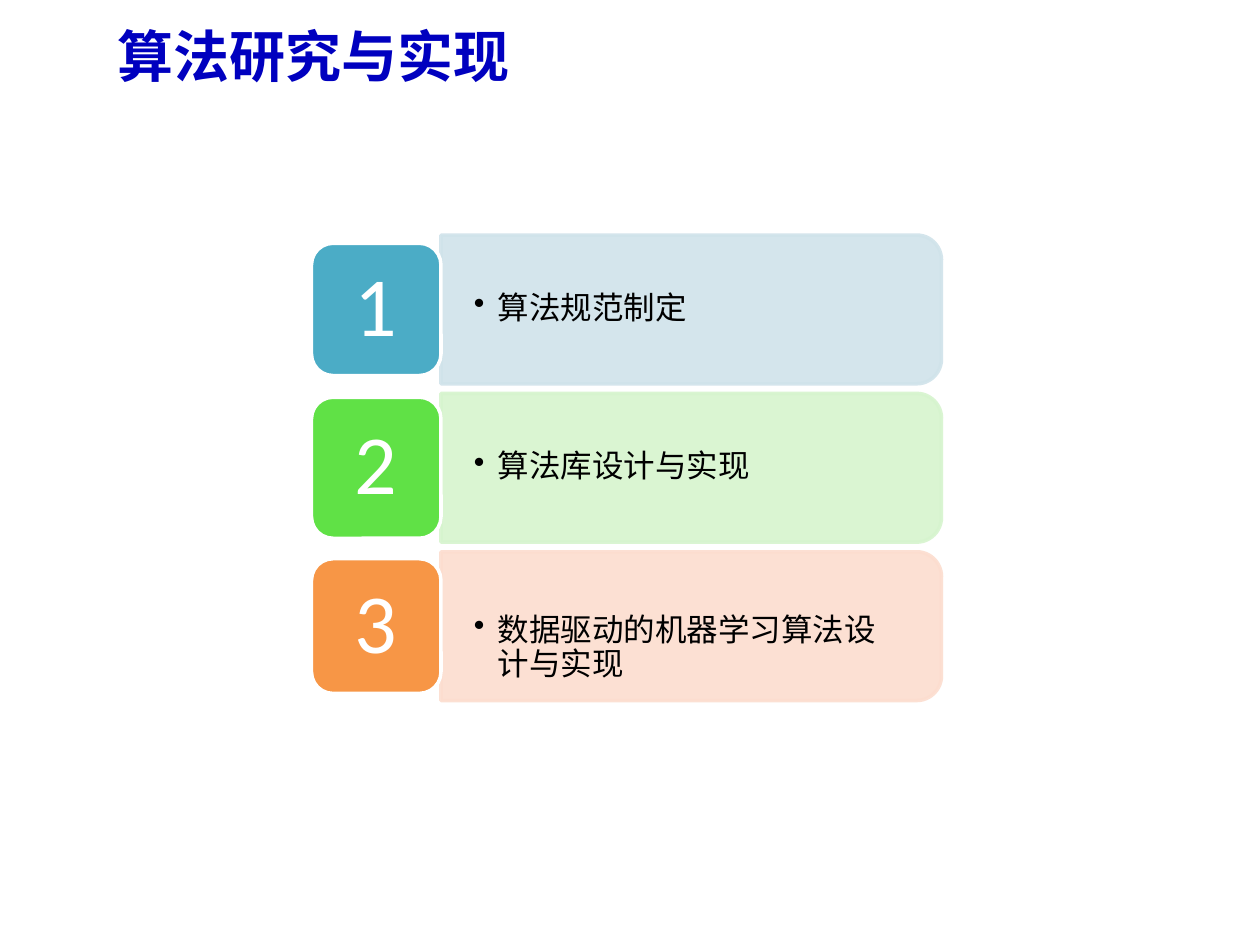
from lxml.etree import SubElement
from pptx import Presentation
from pptx.dml.color import RGBColor
from pptx.enum.shapes import MSO_SHAPE
from pptx.enum.text import MSO_ANCHOR, PP_ALIGN
from pptx.oxml.ns import qn
from pptx.util import Pt

# Content: label, tile colour, panel colour, tile height, downward text shift
TITLE = "算法研究与实现"
ROWS = [
    ("算法规范制定", "4BACC6", "D0E3EA", 75.6, 0),
    ("算法库设计与实现", "60E146", "D6F4CE", 80.6, 0),
    ("数据驱动的机器学习算法设计与实现", "F79646", "FCDDCF", 77, 12.5),
]

THEME = {
    "title": "0000BF", "text": "000000", "light": "FFFFFF",
    "title_size": 32, "body_size": 18, "number_size": 48,
    "latin": "Calibri", "chinese": "Noto Sans CJK SC",
}

# Geometry in points
FIRST_CENTRE, ROW_PITCH = 176.8, 90.5
TILE_LEFT, TILE_WIDTH = 178, 74
PANEL_LEFT, PANEL_WIDTH, PANEL_HEIGHT = 252, 286, 85
LABEL_LEFT, LABEL_WIDTH, LABEL_HEIGHT = 251.3, 282.2, 77
BULLET_INDENT, LINE_WIDTH = 13.5, 2


def write_text(shape, text, *, size, color, font, bold=False, bullet=False,
               align=PP_ALIGN.LEFT, spacing=0.9, insets=(0, 0)):
    frame = shape.text_frame
    frame.word_wrap = True
    frame.vertical_anchor = MSO_ANCHOR.MIDDLE
    frame.margin_left = frame.margin_right = Pt(insets[0])
    frame.margin_top = frame.margin_bottom = Pt(insets[1])
    paragraph = frame.paragraphs[0]
    paragraph.alignment = align
    paragraph.line_spacing = spacing
    if bullet:
        properties = paragraph._p.get_or_add_pPr()
        properties.set("marL", str(Pt(BULLET_INDENT)))
        properties.set("indent", str(-Pt(BULLET_INDENT)))
        SubElement(properties, qn("a:buChar"), char="•")
    run = paragraph.add_run()
    run.text = text
    run.font.size = Pt(size)
    run.font.bold = bold
    run.font.name = font
    run.font.color.rgb = RGBColor.from_string(color)
    SubElement(run._r.get_or_add_rPr(), qn("a:ea"), typeface=THEME["chinese"])


def add_block(slide, kind, left, top, width, height, fill, line, opacity=100):
    shape = slide.shapes.add_shape(kind, Pt(left), Pt(top), Pt(width), Pt(height))
    shape.shadow.inherit = False
    shape.line.width = Pt(LINE_WIDTH)
    shape.fill.solid()
    for paint, color in ((shape.fill, fill), (shape.line.fill, line)):
        paint.solid()
        paint.fore_color.rgb = RGBColor.from_string(color)
    if opacity < 100:
        for color_element in shape._element.spPr.iter(qn("a:srgbClr")):
            SubElement(color_element, qn("a:alpha"), val=str(opacity * 1000))
    return shape


def add_row(slide, index, label, tile_color, panel_color, tile_height, shift):
    centre = FIRST_CENTRE + index * ROW_PITCH

    # Panel: a quarter turn puts its rounded corners on the right
    panel = add_block(
        slide, MSO_SHAPE.ROUND_2_SAME_RECTANGLE,
        PANEL_LEFT + (PANEL_WIDTH - PANEL_HEIGHT) / 2, centre - PANEL_WIDTH / 2,
        PANEL_HEIGHT, PANEL_WIDTH, panel_color, panel_color, opacity=90)
    panel.rotation = 90

    # Label
    box = slide.shapes.add_textbox(
        Pt(LABEL_LEFT), Pt(centre - LABEL_HEIGHT / 2 + shift),
        Pt(LABEL_WIDTH), Pt(LABEL_HEIGHT))
    write_text(box, label, size=THEME["body_size"], color=THEME["text"],
               font=THEME["latin"], bullet=True, insets=(19.5, 10))

    # Numbered tile
    tile = add_block(slide, MSO_SHAPE.ROUNDED_RECTANGLE, TILE_LEFT,
                     centre - tile_height / 2, TILE_WIDTH, tile_height,
                     tile_color, THEME["light"])
    write_text(tile, str(index + 1), size=THEME["number_size"],
               color=THEME["light"], font=THEME["latin"], align=PP_ALIGN.CENTER)


def main():
    presentation = Presentation()
    presentation.slide_width, presentation.slide_height = Pt(720), Pt(540)
    slide = presentation.slides.add_slide(presentation.slide_layouts[5])

    # Title
    title = slide.shapes.title
    title.left, title.top, title.width, title.height = Pt(60), Pt(0), Pt(648), Pt(62.6)
    write_text(title, TITLE, size=THEME["title_size"], color=THEME["title"],
               font=THEME["chinese"], bold=True, spacing=1.0, insets=(7.2, 3.6))

    # Numbered rows
    for index, row in enumerate(ROWS):
        add_row(slide, index, *row)

    presentation.save("out.pptx")


if __name__ == "__main__":
    main()
